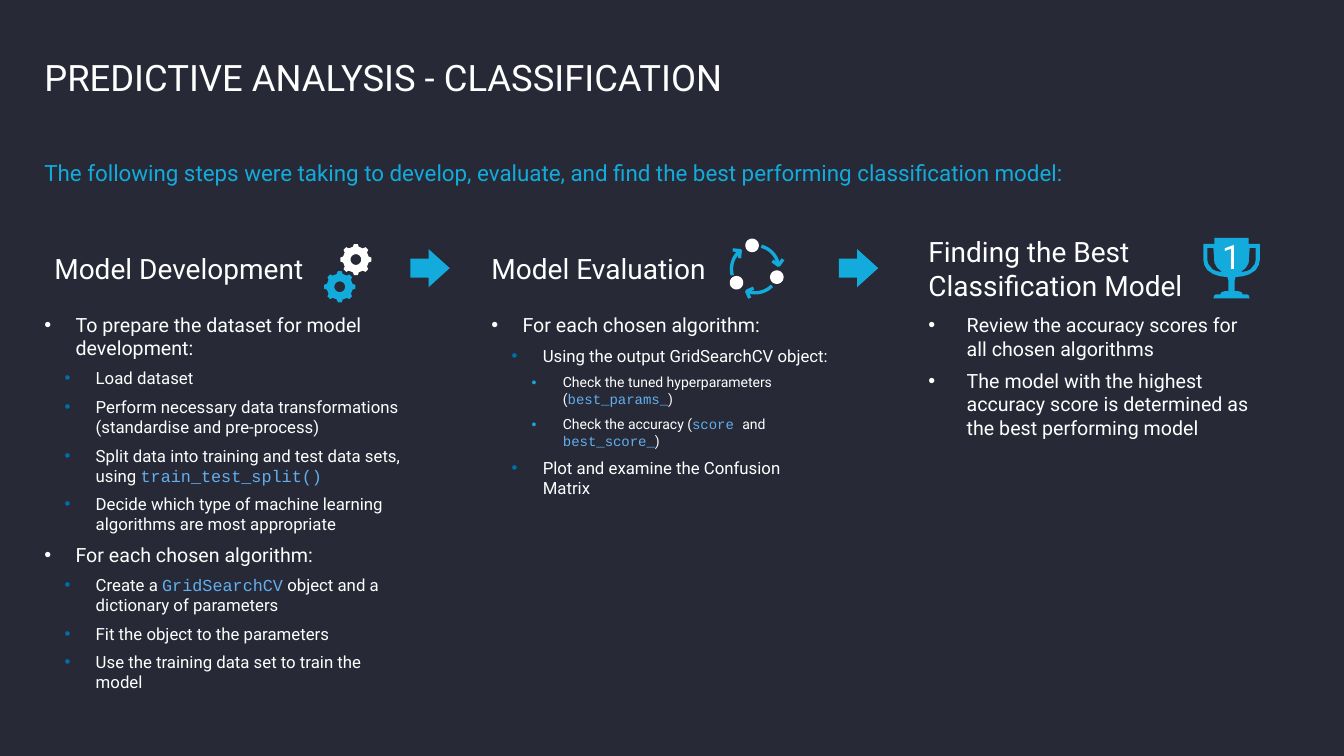
from math import cos, radians, sin

from lxml import etree
from pptx import Presentation
from pptx.dml.color import RGBColor
from pptx.enum.shapes import MSO_SHAPE
from pptx.enum.text import MSO_ANCHOR, PP_ALIGN
from pptx.oxml.ns import qn
from pptx.util import Inches, Pt

RIGHT_ARROW = MSO_SHAPE.RIGHT_ARROW
TOP, MIDDLE, BOTTOM = MSO_ANCHOR.TOP, MSO_ANCHOR.MIDDLE, MSO_ANCHOR.BOTTOM
CENTER = PP_ALIGN.CENTER

THEME = {
    "background": RGBColor.from_string("272936"),
    "white": RGBColor.from_string("FFFFFF"),
    "cyan": RGBColor.from_string("12ABDB"),
    "code": RGBColor.from_string("61AFEF"),
    "bullets": ["FFFFFF", "0070AD", "12ABDB"],
    "body_sizes": [14, 12, 10],
    "title": 26, "lead": 16, "heading": 20, "cup": 24,
    "font": "Roboto", "code_font": "Courier New",
}
MARGIN, PITCH = 0.44, 4.335
HEADING_TOP, HEADING_H = 2.28, 0.77
BODY_BOTTOM = 6.82


def add_text(box, paragraphs, anchor=TOP, inset=(0.1, 0.05)):
    """Write (bullet level or None, size, indent, runs); a run is (text, colour, font)."""
    frame = box.text_frame
    frame.word_wrap = True
    frame.vertical_anchor = anchor
    frame.margin_left = frame.margin_right = Inches(inset[0])
    frame.margin_top = frame.margin_bottom = Inches(inset[1])
    for index, (level, size, indent, runs) in enumerate(paragraphs):
        paragraph = frame.add_paragraph() if index else frame.paragraphs[0]
        if level is not None:
            paragraph.level = level
            props = paragraph._p.get_or_add_pPr()
            props.set("marL", str(Inches(indent + 0.2 * level)))
            props.set("indent", str(-Inches(indent)))
            colour = etree.SubElement(props, qn("a:buClr"))
            etree.SubElement(colour, qn("a:srgbClr"), val=THEME["bullets"][level])
            etree.SubElement(props, qn("a:buFont"), typeface="Arial")
            etree.SubElement(props, qn("a:buChar"), char="•")
        paragraph.space_after = Pt(6)
        for text, colour, font in runs:
            run = paragraph.add_run()
            run.text = text
            run.font.size = Pt(size)
            run.font.name = THEME[font]
            run.font.color.rgb = THEME[colour]
    return frame


def add_outline(contours, colour, closed=True):
    """Draw contours given in inches: filled when closed, stroked when open."""
    contours = [[(Inches(x), Inches(y)) for x, y in points] for points in contours]
    builder = slide.shapes.build_freeform(*contours[0][0], scale=1.0)
    for index, points in enumerate(contours):
        if index:
            builder.move_to(*points[0])
        builder.add_line_segments(points[1:], close=closed)
    outline = builder.convert_to_shape()
    outline.shadow.inherit = False
    if closed:
        outline.fill.solid()
        outline.fill.fore_color.rgb = THEME[colour]
        outline.line.fill.background()
    else:
        outline.fill.background()
        outline.line.color.rgb = THEME[colour]
        outline.line.width = Pt(2.4)
    return outline


prs = Presentation()
prs.slide_width, prs.slide_height = Inches(13.33), Inches(7.5)
slide = prs.slides.add_slide(prs.slide_layouts[6])
slide.background.fill.solid()
slide.background.fill.fore_color.rgb = THEME["background"]

# Title and lead sentence
banners = [
    (0.6, 0.39, "title", "white", BOTTOM, "PREDICTIVE ANALYSIS - CLASSIFICATION"),
    (1.58, 0.76, "lead", "cyan", TOP, "The following steps were taking to develop, evaluate, "
     "and find the best performing classification model:"),
]
for top, height, role, colour, anchor, text in banners:
    banner = slide.shapes.add_textbox(Inches(MARGIN), Inches(top), Inches(12.47), Inches(height))
    frame = add_text(banner, [(None, THEME[role], 0, [(text, colour, "font")])], anchor, (0, 0))
    if role == "title":
        frame.paragraphs[0].line_spacing = 0.9
        frame.paragraphs[0].space_after = Pt(0)

# Steps: heading, heading width, body width, body top, body inset, bullet indent, bullets.
# Each bullet is a level and its text pieces; a piece starting with ` is code.
steps = [
    ("Model Development", 3.78, 3.63, 3.1, (0, 0), 0.31, [
        (0, ["To prepare the dataset for model development:"]),
        (1, ["Load dataset"]),
        (1, ["Perform necessary data transformations (standardise and pre-process)"]),
        (1, ["Split data into training and test data sets, using ", "`train_test_split()"]),
        (1, ["Decide which type of machine learning algorithms are most appropriate"]),
        (0, ["For each chosen algorithm:"]),
        (1, ["Create a ", "`GridSearchCV", " object and a dictionary of parameters"]),
        (1, ["Fit the object to the parameters"]),
        (1, ["Use the training data set to train the model"]),
    ]),
    ("Model Evaluation", 2.79, 3.54, 3.06, (0.1, 0.05), 0.31, [
        (0, ["For each chosen algorithm:"]),
        (1, ["Using the output GridSearchCV object:"]),
        (2, ["Check the tuned hyperparameters (", "`best_params_", ")"]),
        (2, ["Check the accuracy (", "`score ", "and ", "`best_score_", ")"]),
        (1, ["Plot and examine the Confusion Matrix"]),
    ]),
    ("Finding the Best Classification Model", 2.85, 3.38, 3.06, (0.1, 0.05), 0.38, [
        (0, ["Review the accuracy scores for all chosen algorithms"]),
        (0, ["The model with the highest accuracy score is determined as the best "
             "performing model"]),
    ]),
]
for column, (title, title_w, body_w, body_top, inset, indent, bullets) in enumerate(steps):
    left = Inches(MARGIN + column * PITCH)
    heading = slide.shapes.add_textbox(left, Inches(HEADING_TOP), Inches(title_w), Inches(HEADING_H))
    add_text(heading, [(None, THEME["heading"], 0, [(title, "white", "font")])], MIDDLE)
    paragraphs = []
    for level, pieces in bullets:
        runs = [(piece[1:], "code", "code_font") if piece.startswith("`")
                else (piece, "white", "font") for piece in pieces]
        paragraphs.append((level, THEME["body_sizes"][level], indent, runs))
    body = slide.shapes.add_textbox(left, Inches(body_top), Inches(body_w),
                                    Inches(BODY_BOTTOM - body_top))
    add_text(body, paragraphs, inset=inset)

for arrow_left in (4.07, 8.32):
    arrow = slide.shapes.add_shape(RIGHT_ARROW, Inches(arrow_left), Inches(2.47),
                                   Inches(0.39), Inches(0.38))
    arrow.adjustments[1] = 0.553
    arrow.shadow.inherit = False
    arrow.fill.solid()
    arrow.fill.fore_color.rgb = THEME["cyan"]
    arrow.line.fill.background()

# Gears: eight teeth around a round hole
tooth = [(-13, 0.13), (-7, 0.155), (7, 0.155), (13, 0.13)]
rim = [(45 * n + turn, radius) for n in range(8) for turn, radius in tooth]
hole = [(angle, 0.053) for angle in range(0, 360, 10)]
for x, y, colour in [(3.53, 2.575, "white"), (3.37, 2.845, "cyan")]:
    add_outline([[(x + r * cos(radians(a)), y + r * sin(radians(a))) for a, r in ring]
                 for ring in (rim, hole)], colour)

# Cycle: three arrows a third of a turn apart, with a dot in each gap
cycle_x, cycle_y, cycle_r = 7.49, 2.67, 0.235
for tip in (-9, 111, 231):
    arc = [(cycle_x + cycle_r * cos(radians(a)), cycle_y + cycle_r * sin(radians(a)))
           for a in range(tip - 66, tip + 1, 6)]
    tip_x, tip_y = arc[-1]
    wings = [(tip_x + 0.075 * cos(radians(tip + a)), tip_y + 0.075 * sin(radians(tip + a)))
             for a in (-45, -135)]
    add_outline([arc, [wings[0], arc[-1], wings[1]]], "cyan", closed=False)
for x, y in [(7.46, 2.435), (7.705, 2.75), (7.305, 2.805)]:
    add_outline([[(x + 0.067 * cos(radians(a)), y + 0.067 * sin(radians(a)))
                  for a in range(0, 360, 10)]], "white")

# Trophy: right half mirrored about its axis
axis = 12.215
cup_half = [(0.17, 2.36), (0.17, 2.42), (0.28, 2.42), (0.28, 2.58), (0.27, 2.63), (0.24, 2.68),
            (0.18, 2.72), (0.12, 2.74), (0.04, 2.75), (0.03, 2.79), (0.03, 2.89), (0.07, 2.89),
            (0.1, 2.9), (0.11, 2.92), (0.15, 2.92), (0.17, 2.93), (0.18, 2.96)]
handle = [(0.18, 2.46), (0.24, 2.46), (0.24, 2.58), (0.23, 2.62), (0.19, 2.67), (0.15, 2.69),
          (0.09, 2.7), (0.14, 2.66), (0.17, 2.61)]
cup = [(axis + x, y) for x, y in cup_half] + [(axis - x, y) for x, y in reversed(cup_half)]
handles = [[(axis + side * x, y) for x, y in handle] for side in (1, -1)]
trophy = add_outline([cup] + handles, "cyan")
rank = add_text(trophy, [(None, THEME["cup"], 0, [("1", "white", "font")])], MIDDLE, (0, 0))
rank.margin_bottom = Inches(0.24)
rank.paragraphs[0].alignment = CENTER
rank.paragraphs[0].space_after = Pt(0)

prs.save("out.pptx")
